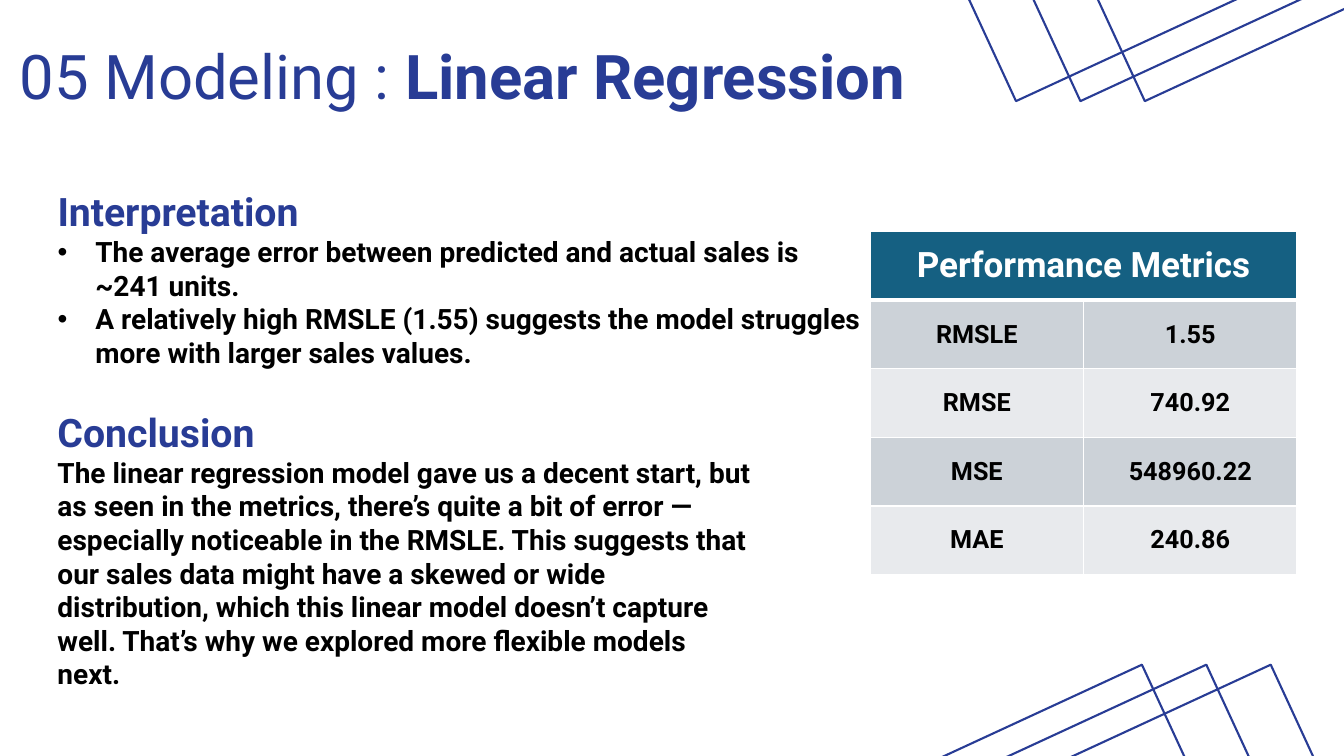
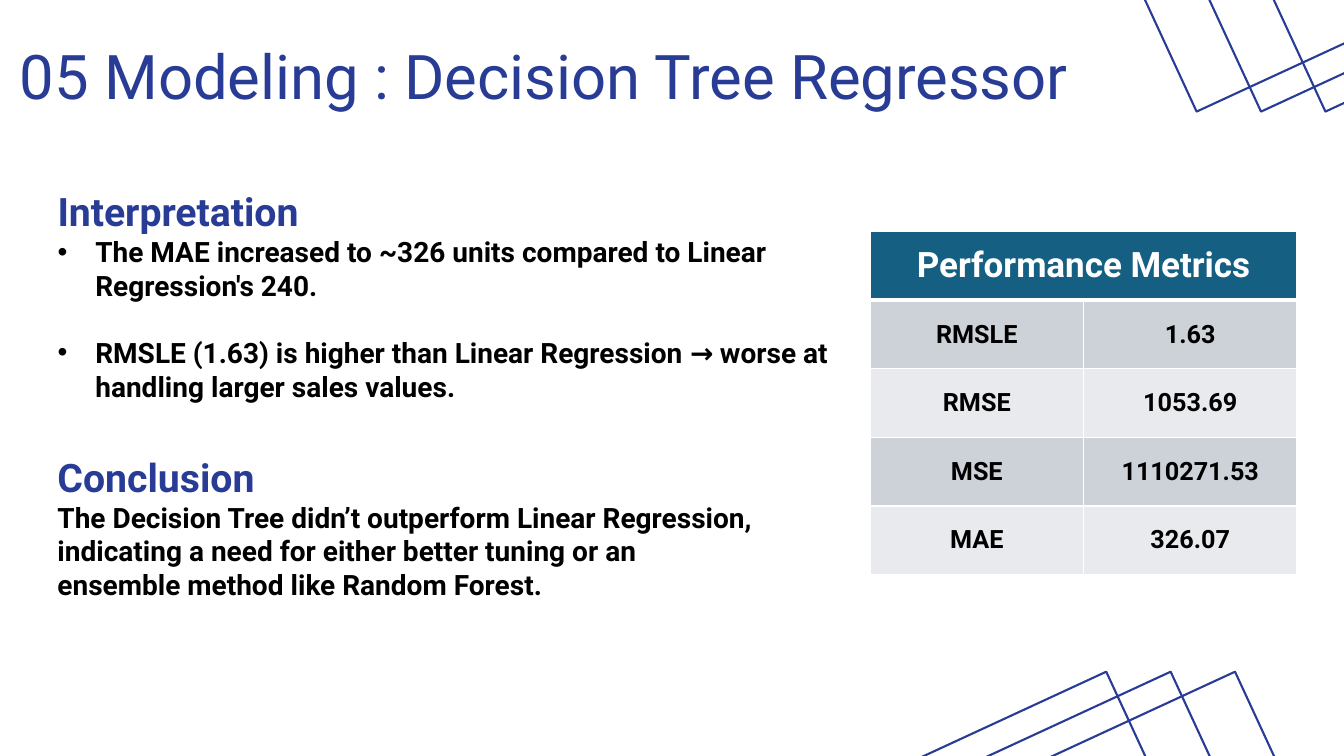
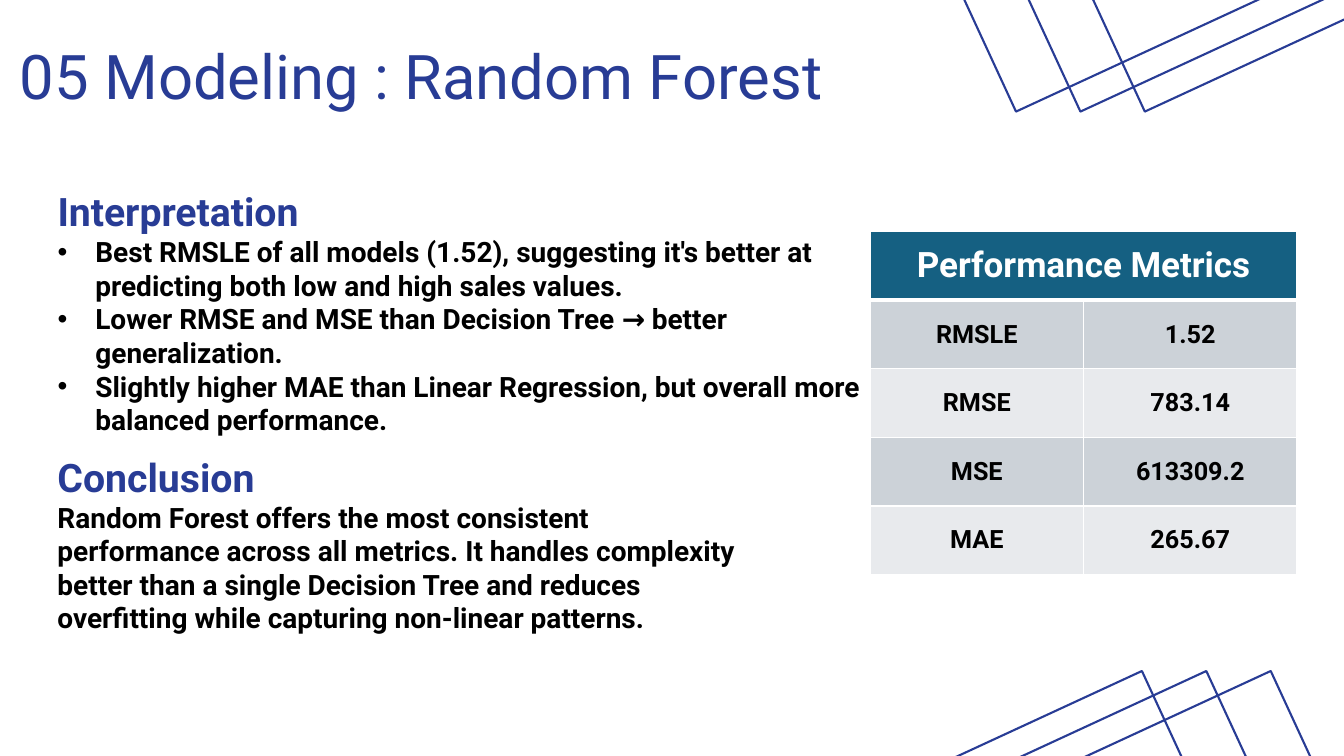
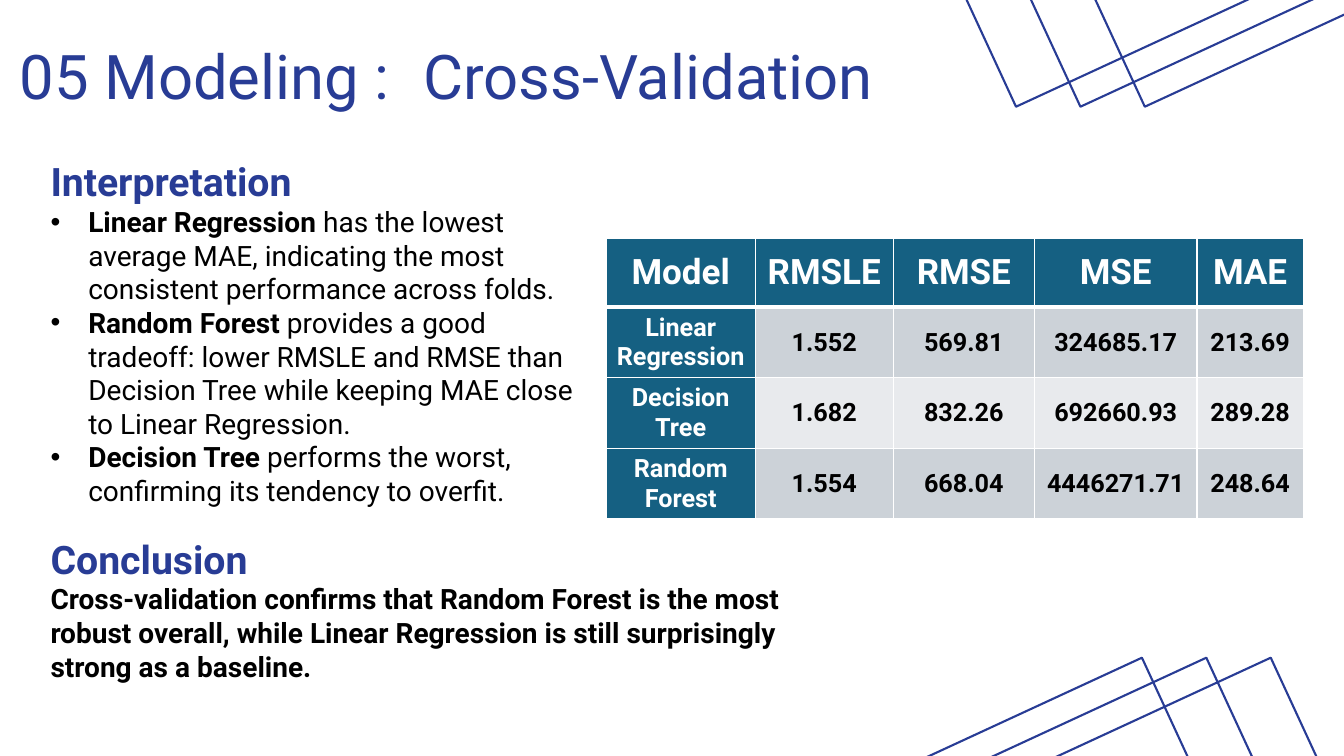
"""Builds four slides that compare regression models."""
from lxml import etree
from pptx import Presentation
from pptx.dml.color import RGBColor
from pptx.enum import shapes, text
from pptx.oxml import ns
from pptx.util import Pt

FONT = "Roboto"
NAVY, TEAL, BLACK, WHITE = "283C95", "156082", "000000", "FFFFFF"
BANDS = ["CCD2D8", "E8EAED"]
METRICS = ["RMSLE", "RMSE", "MSE", "MAE"]
FRAME_SIZE, FRAME_STEP, FRAME_ANGLE = (401, 409), 46, 335.2
INDENT = 27

SLIDES = [
    {
        "title": [("05 Modeling : ", False), ("Linear Regression", True)],
        "title_width": 685,
        "points": [
            [("The average error between predicted and actual sales is ~241 units.", True)],
            [("A relatively high RMSLE (1.55) suggests the model struggles more with larger sales values.", True)],
        ],
        "points_box": (34, 130.5, 588, 138),
        "conclusion": "The linear regression model gave us a decent start, but as seen in the metrics, "
                      "there’s quite a bit of error — especially noticeable in the RMSLE. This suggests that "
                      "our sales data might have a skewed or wide distribution, which this linear model "
                      "doesn’t capture well. That’s why we explored more flexible models next.",
        "conclusion_box": (34, 288, 513, 211),
        "values": ["1.55", "740.92", "548960.22", "240.86"],
        "frames": [(621.5, -402), (519, 540)],
    },
    {
        "title": [("05 Modeling : Decision Tree Regressor", False)],
        "points": [
            [("The MAE increased to ~326 units compared to Linear Regression's 240.", True)],
            [("RMSLE (1.63) is higher than Linear Regression → worse at handling larger sales values.", True)],
        ],
        "point_gap": 24,
        "points_box": (34, 130.5, 588, 163),
        "conclusion": "The Decision Tree didn’t outperform Linear Regression, indicating a need for either "
                      "better tuning or an ensemble method like Random Forest.",
        "conclusion_box": (34, 320, 513, 114),
        "values": ["1.63", "1053.69", "1110271.53", "326.07"],
        "frames": [(750.5, -394.5), (493.5, 545)],
    },
    {
        "title": [("05 Modeling : Random Forest", False)],
        "points": [
            [("Best RMSLE of all models (1.52), suggesting it's better at predicting both low and high "
              "sales values.", True)],
            [("Lower RMSE and MSE than Decision Tree → better generalization.", True)],
            [("Slightly higher MAE than Linear Regression, but overall more balanced performance.", True)],
        ],
        "points_box": (34, 130.5, 588, 186),
        "conclusion": "Random Forest offers the most consistent performance across all metrics. It handles "
                      "complexity better than a single Decision Tree and reduces overfitting while capturing "
                      "non-linear patterns.",
        "conclusion_box": (34, 320, 513, 138),
        "values": ["1.52", "783.14", "613309.2", "265.67"],
        "frames": [(621.5, -394.5), (519, 544.5)],
    },
    {
        "title": [("05 Modeling : \tCross-Validation", False)],
        "points": [
            [("Linear Regression", True),
             (" has the lowest average MAE, indicating the most consistent performance across folds.", False)],
            [("Random Forest", True),
             (" provides a good tradeoff: lower RMSLE and RMSE than Decision Tree while keeping MAE close "
              "to Linear Regression.", False)],
            [("Decision Tree", True), (" performs the worst, confirming its tendency to overfit.", False)],
        ],
        "points_box": (29, 109, 389, 259),
        "conclusion": "Cross-validation confirms that Random Forest is the most robust overall, while Linear "
                      "Regression is still surprisingly strong as a baseline.",
        "conclusion_box": (29, 378.5, 580, 114),
        "models": [
            ["Linear Regression", "1.552", "569.81", "324685.17", "213.69"],
            ["Decision Tree", "1.682", "832.26", "692660.93", "289.28"],
            ["Random Forest", "1.554", "668.04", "4446271.71", "248.64"],
        ],
        "frames": [(621.5, -398), (519, 535)],
    },
]


def rgb(color):
    """Turn a hex string into a colour."""
    return RGBColor.from_string(color)


def add_run(p, words, size, color, bold):
    """Add one formatted run to a paragraph."""
    r = p.add_run()
    r.text = words
    r.font.name, r.font.size, r.font.bold = FONT, Pt(size), bold
    r.font.color.rgb = rgb(color)


def add_title(s, runs, width):
    """Place and fill the title placeholder."""
    title = s.shapes.title
    title.left, title.top, title.width, title.height = Pt(7), Pt(4.5), Pt(width), Pt(104)
    tf = title.text_frame
    tf.word_wrap, tf.vertical_anchor = True, text.MSO_ANCHOR.MIDDLE
    p = tf.paragraphs[0]
    p.alignment, p.line_spacing = text.PP_ALIGN.LEFT, 0.9
    for words, bold in runs:
        add_run(p, words, 44, NAVY, bold)


def add_section(s, box, heading, paragraphs, bulleted=False, gap=0):
    """Add a heading with body paragraphs below it."""
    tf = s.shapes.add_textbox(*map(Pt, box)).text_frame
    tf.word_wrap = True
    add_run(tf.paragraphs[0], heading, 28, NAVY, True)
    for i, runs in enumerate(paragraphs):
        p = tf.add_paragraph()
        if bulleted:
            pPr = p._p.get_or_add_pPr()
            pPr.set("marL", str(Pt(INDENT)))
            pPr.set("indent", str(-Pt(INDENT)))
            etree.SubElement(pPr, ns.qn("a:buFont"), typeface="Arial")
            etree.SubElement(pPr, ns.qn("a:buChar"), char="•")
        if i and gap:
            p.space_before = Pt(gap)
        for words, bold in runs:
            add_run(p, words, 20, BLACK, bold)


def set_borders(cell, top, bottom):
    """Give a cell white borders."""
    tcPr = cell._tc.get_or_add_tcPr()
    for i, (side, width) in enumerate([("L", 1), ("R", 1), ("T", top), ("B", bottom)]):
        ln = etree.Element(ns.qn(f"a:ln{side}"), w=str(Pt(width)))
        fill = etree.SubElement(ln, ns.qn("a:solidFill"))
        etree.SubElement(fill, ns.qn("a:srgbClr"), val=WHITE)
        tcPr.insert(i, ln)


def add_table(s, left, top, widths, row_height, rows, side_header=False):
    """Add a metrics table, merging the header if it has one label."""
    frame = s.shapes.add_table(len(rows), len(widths), Pt(left), Pt(top),
                               Pt(sum(widths)), Pt(row_height * len(rows)))
    table = frame.table
    for column, width in zip(table.columns, widths):
        column.width = Pt(width)
    if len(rows[0]) == 1:
        table.cell(0, 0).merge(table.cell(0, len(widths) - 1))
    for i, row in enumerate(rows):
        table.rows[i].height = Pt(row_height)
        for j in range(len(widths)):
            cell = table.cell(i, j)
            header = i == 0 or (side_header and j == 0)
            cell.fill.solid()
            cell.fill.fore_color.rgb = rgb(TEAL if header else BANDS[(i - 1) % 2])
            set_borders(cell, 3 if i == 1 else 1, 3 if i == 0 else 1)
            if j < len(row):
                cell.vertical_anchor = text.MSO_ANCHOR.MIDDLE
                p = cell.text_frame.paragraphs[0]
                p.alignment = text.PP_ALIGN.CENTER
                add_run(p, row[j], 18 if i else 25, WHITE if header else BLACK, True)


def add_frames(s, left, top):
    """Add three overlapping tilted outlines."""
    for i in range(3):
        sp = s.shapes.add_shape(shapes.MSO_SHAPE.RECTANGLE, Pt(left + i * FRAME_STEP), Pt(top),
                                *map(Pt, FRAME_SIZE))
        sp.rotation = FRAME_ANGLE
        sp.shadow.inherit = False
        sp.fill.background()
        sp.line.color.rgb, sp.line.width = rgb(NAVY), Pt(1.5)


def main():
    """Build and save the deck."""
    prs = Presentation()
    prs.slide_width, prs.slide_height = Pt(960), Pt(540)
    for data in SLIDES:
        s = prs.slides.add_slide(prs.slide_layouts[5])
        add_title(s, data["title"], data.get("title_width", 850))
        add_section(s, data["points_box"], "Interpretation", data["points"], True, data.get("point_gap", 0))
        add_section(s, data["conclusion_box"], "Conclusion", [[(data["conclusion"], True)]])
        if "models" in data:
            add_table(s, 433, 170, [106.5, 98.5, 101, 116, 76], 49.5,
                      [["Model"] + METRICS] + data["models"], True)
        else:
            add_table(s, 621.5, 165.5, [152.5, 152.5], 49,
                      [["Performance Metrics"]] + list(zip(METRICS, data["values"])))
        for left, top in data["frames"]:
            add_frames(s, left, top)
    prs.save("out.pptx")


if __name__ == "__main__":
    main()
